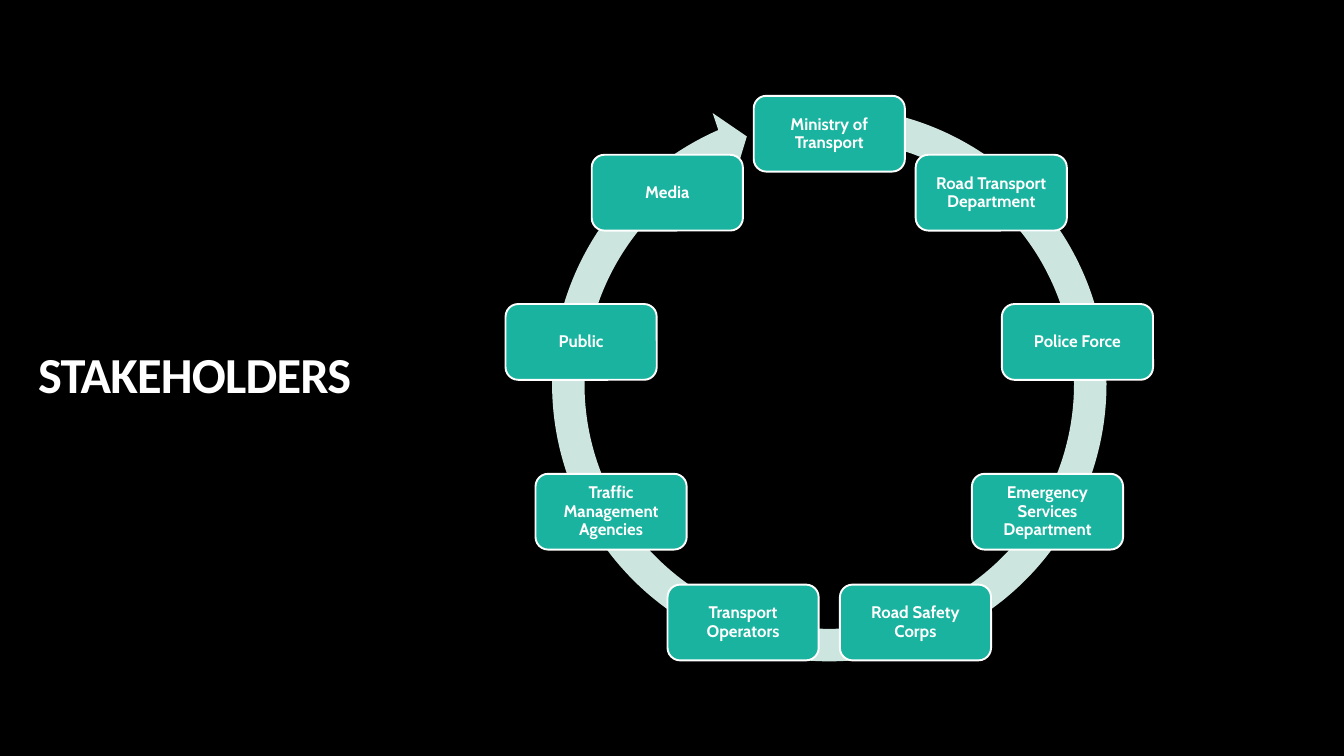
from math import cos, radians, sin

from pptx import Presentation
from pptx.dml.color import RGBColor
from pptx.enum.shapes import MSO_SHAPE
from pptx.enum.text import MSO_ANCHOR, PP_ALIGN
from pptx.util import Cm, Pt

ROUNDED = MSO_SHAPE.ROUNDED_RECTANGLE
CIRCULAR_ARROW = MSO_SHAPE.CIRCULAR_ARROW
MIDDLE = MSO_ANCHOR.MIDDLE
CENTER = PP_ALIGN.CENTER

# Content, clockwise from the top
TITLE = "STAKEHOLDERS"
STAKEHOLDERS = [
    "Ministry of Transport",
    "Road Transport Department",
    "Police Force",
    "Emergency Services Department",
    "Road Safety Corps",
    "Transport Operators",
    "Traffic Management Agencies",
    "Public",
    "Media",
]


class Theme:
    background = RGBColor(0x00, 0x00, 0x00)
    ring = RGBColor(0xCD, 0xE5, 0xDF)
    box = RGBColor(0x1A, 0xB3, 0x9F)
    text = RGBColor(0xFF, 0xFF, 0xFF)
    title_font, title_size = "Calibri", Pt(36)
    box_font, box_size = "Cabin", Pt(12)
    outline = Pt(1.35)
    line_spacing = 0.9


# Layout in centimetres
CENTER_X, CENTER_Y = 20.9, 9.72
RADIUS = 6.35
BOX_W, BOX_H = 3.81, 1.91
BOX_INSET = Cm(0.13)
RING_SIZE, RING_TOP = 14.88, 2.24
# Band width, head angle, end angle, start angle, head width
RING_ADJUSTMENTS = (0.055, 3.31, 147.64, 168.09, 0.058)


def write(frame, text, font, size):
    frame.word_wrap = True
    frame.vertical_anchor = MIDDLE
    paragraph = frame.paragraphs[0]
    paragraph.text = text
    paragraph.line_spacing = Theme.line_spacing
    paragraph.font.name = font
    paragraph.font.size = size
    paragraph.font.bold = True
    paragraph.font.color.rgb = Theme.text
    return paragraph


def add_filled(slide, preset, left, top, width, height, color):
    shape = slide.shapes.add_shape(preset, Cm(left), Cm(top), Cm(width), Cm(height))
    shape.shadow.inherit = False
    shape.fill.solid()
    shape.fill.fore_color.rgb = color
    return shape


def add_title(slide):
    title = slide.shapes.add_textbox(Cm(0.71), Cm(3.12), Cm(8.48), Cm(12.78))
    paragraph = write(title.text_frame, TITLE, Theme.title_font, Theme.title_size)
    # Tighter letter spacing, in hundredths of a point
    paragraph.runs[0].font._element.set("spc", "-60")


def add_ring(slide):
    ring = add_filled(slide, CIRCULAR_ARROW, CENTER_X - RING_SIZE / 2, RING_TOP,
                      RING_SIZE, RING_SIZE, Theme.ring)
    ring.line.fill.background()
    for index, value in enumerate(RING_ADJUSTMENTS):
        ring.adjustments[index] = value


def add_stakeholder(slide, name, angle):
    left = CENTER_X + RADIUS * sin(angle) - BOX_W / 2
    top = CENTER_Y - RADIUS * cos(angle) - BOX_H / 2
    box = add_filled(slide, ROUNDED, left, top, BOX_W, BOX_H, Theme.box)
    box.line.color.rgb = Theme.text
    box.line.width = Theme.outline
    frame = box.text_frame
    frame.margin_left = frame.margin_right = BOX_INSET
    frame.margin_top = frame.margin_bottom = BOX_INSET
    write(frame, name, Theme.box_font, Theme.box_size).alignment = CENTER


def main():
    deck = Presentation()
    deck.slide_width, deck.slide_height = Cm(33.87), Cm(19.05)
    slide = deck.slides.add_slide(deck.slide_layouts[6])
    slide.background.fill.solid()
    slide.background.fill.fore_color.rgb = Theme.background

    add_title(slide)
    add_ring(slide)
    # Boxes at equal angles around the ring
    step = radians(360 / len(STAKEHOLDERS))
    for index, name in enumerate(STAKEHOLDERS):
        add_stakeholder(slide, name, index * step)
    deck.save("out.pptx")


if __name__ == "__main__":
    main()
